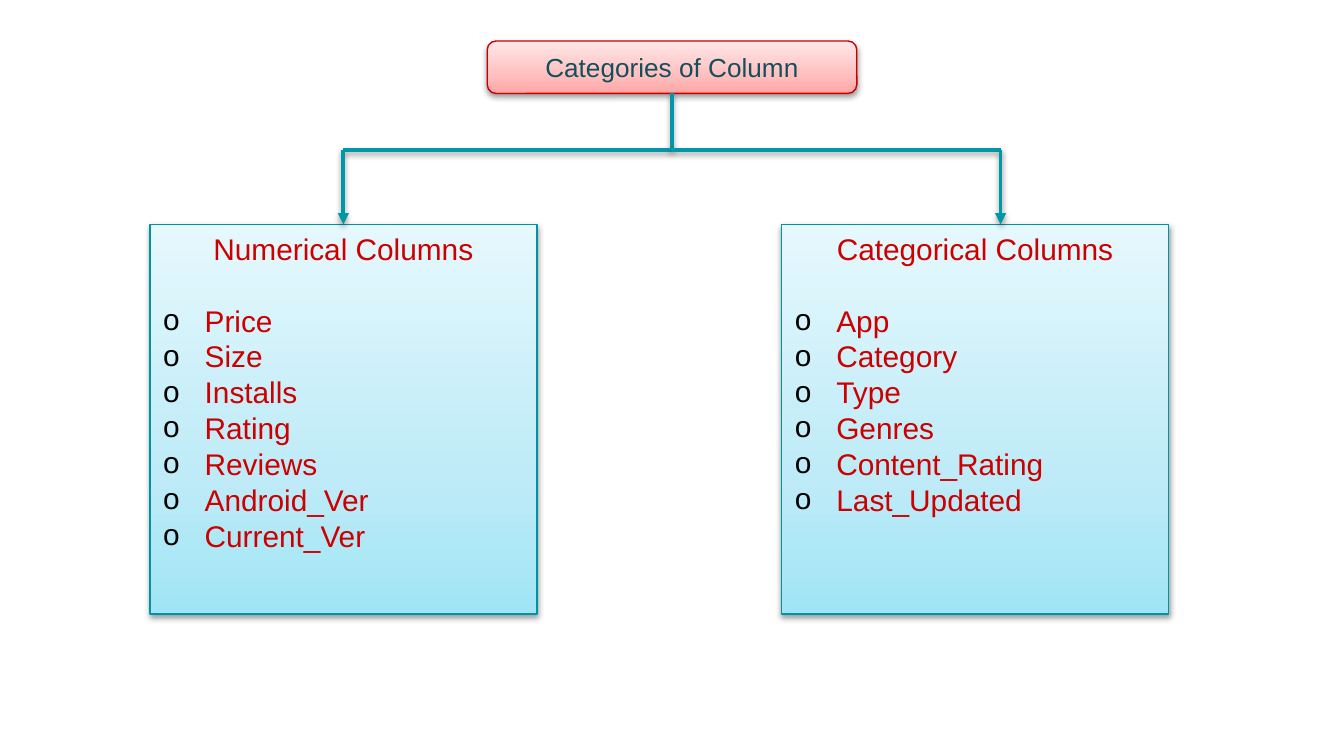
from copy import deepcopy
from dataclasses import dataclass

from pptx import Presentation
from pptx.dml.color import RGBColor
from pptx.enum.shapes import MSO_CONNECTOR as Connector, MSO_SHAPE as Shape
from pptx.enum.text import MSO_ANCHOR as Anchor, PP_ALIGN as Align
from pptx.oxml import parse_xml
from pptx.oxml.ns import nsdecls, qn
from pptx.util import Pt

PX = 4572  # EMU per px, 200 px to the inch
SLIDE_WIDTH, SLIDE_HEIGHT = 2000, 1125


@dataclass(frozen=True)
class Theme:
    font: str = "Arial"
    root_size: int = 14
    panel_size: int = 16
    root_text: str = "134F5C"
    panel_text: str = "CC0000"
    bullet: str = "000000"
    root_line: str = "C80000"
    panel_line: str = "0094A3"
    connector: str = "0097A7"
    root_fill: tuple = ("FFA5A5", "FFBFBF", "FFE7E7")
    panel_fill: tuple = ("A0E5F5", "BEEBF7", "E5F8FD")
    stops: tuple = (0, 0.35, 1)


THEME = Theme()

SHADOW = f"""<a:effectLst {nsdecls("a")}>
  <a:outerShdw blurRad="40000" dist="20000" dir="5400000" rotWithShape="0">
    <a:srgbClr val="000000"><a:alpha val="38000"/></a:srgbClr>
  </a:outerShdw>
</a:effectLst>"""


def color(value):
    return RGBColor.from_string(value)


def add_shadow(shape):
    shape._element.spPr.append(parse_xml(SHADOW))


def add_box(slide, kind, box, fill_colors, line_color):
    """Rectangle with an upward three-stop gradient, a thin line and a shadow."""
    shape = slide.shapes.add_shape(kind, *(value * PX for value in box))
    fill = shape.fill
    fill.gradient()
    fill.gradient_angle = 90
    stop_list = shape._element.spPr.find(qn("a:gradFill")).find(qn("a:gsLst"))
    stop_list.append(deepcopy(stop_list[0]))
    for stop, position, value in zip(fill.gradient_stops, THEME.stops, fill_colors):
        stop.position = position
        stop.color.rgb = color(value)
    shape.line.color.rgb = color(line_color)
    shape.line.width = Pt(0.75)
    add_shadow(shape)
    return shape


def add_text(shape, text, *, size, text_color, align=Align.LEFT,
             bullet=False, space_before=0):
    """Put text in the first paragraph if it is free, otherwise in a new one."""
    frame = shape.text_frame
    frame.word_wrap = True
    paragraph = frame.add_paragraph() if frame.text else frame.paragraphs[0]
    paragraph.alignment = align
    if space_before:
        paragraph.space_before = Pt(space_before)
    if bullet:
        properties = paragraph._p.get_or_add_pPr()
        properties.set("marL", str(62 * PX))
        properties.set("indent", str(-62 * PX))
        for xml in (
            f'<a:buClr {nsdecls("a")}><a:srgbClr val="{THEME.bullet}"/></a:buClr>',
            f'<a:buFont {nsdecls("a")} typeface="{THEME.font}"/>',
            f'<a:buChar {nsdecls("a")} char="o"/>',
        ):
            properties.append(parse_xml(xml))
    run = paragraph.add_run()
    run.text = text
    run.font.name = THEME.font
    run.font.size = Pt(size)
    run.font.color.rgb = color(text_color)


def add_root(slide, box, text):
    root = add_box(slide, Shape.FLOWCHART_ALTERNATE_PROCESS, box,
                   THEME.root_fill, THEME.root_line)
    root.text_frame.vertical_anchor = Anchor.MIDDLE
    add_text(root, text, size=THEME.root_size, text_color=THEME.root_text,
             align=Align.CENTER)
    return root


def add_panel(slide, box, heading, items):
    panel = add_box(slide, Shape.RECTANGLE, box, THEME.panel_fill, THEME.panel_line)
    panel.text_frame.vertical_anchor = Anchor.TOP
    style = dict(size=THEME.panel_size, text_color=THEME.panel_text)
    add_text(panel, heading, align=Align.CENTER, **style)
    for index, item in enumerate(items):
        add_text(panel, item, bullet=True, space_before=0 if index else 19, **style)
    return panel


def add_line(slide, start, end, arrow=False):
    line = slide.shapes.add_connector(
        Connector.STRAIGHT, *(value * PX for value in start + end))
    line.line.color.rgb = color(THEME.connector)
    line.line.width = Pt(2)
    if arrow:
        line.line._get_or_add_ln().append(
            parse_xml(f'<a:tailEnd {nsdecls("a")} type="triangle"/>'))
    add_shadow(line)
    return line


def add_branches(slide, root, left_panel, bar_y):
    """Trunk down from the root, then a bar and arrows mirrored about it."""
    center = (root.left + root.width // 2) // PX
    left = (left_panel.left + left_panel.width // 2) // PX
    right = 2 * center - left
    top = left_panel.top // PX
    junction = (center, bar_y)

    trunk = add_line(slide, (center, (root.top + root.height) // PX), junction)
    trunk.begin_connect(root, 2)
    add_line(slide, junction, (left, bar_y))
    add_line(slide, (right, bar_y), junction)
    left_arrow = add_line(slide, (left, bar_y), (left, top), arrow=True)
    left_arrow.end_connect(left_panel, 0)
    add_line(slide, (right, bar_y), (right, top), arrow=True)


def add_category_tree(slide):
    columns = {
        "Numerical Columns": ("Price", "Size", "Installs", "Rating", "Reviews",
                              "Android_Ver", "Current_Ver"),
        "Categorical Columns": ("App", "Category", "Type", "Genres",
                                "Content_Rating", "Last_Updated"),
    }
    panels = [
        add_panel(slide, (223 + 940 * index, 334, 576, 580), heading, items)
        for index, (heading, items) in enumerate(columns.items())
    ]
    root = add_root(slide, (725, 61, 550, 78), "Categories of Column")
    add_branches(slide, root, panels[0], bar_y=223)


def main():
    presentation = Presentation()
    presentation.slide_width = SLIDE_WIDTH * PX
    presentation.slide_height = SLIDE_HEIGHT * PX
    slide = presentation.slides.add_slide(presentation.slide_layouts[6])
    add_category_tree(slide)
    presentation.save("out.pptx")


if __name__ == "__main__":
    main()
